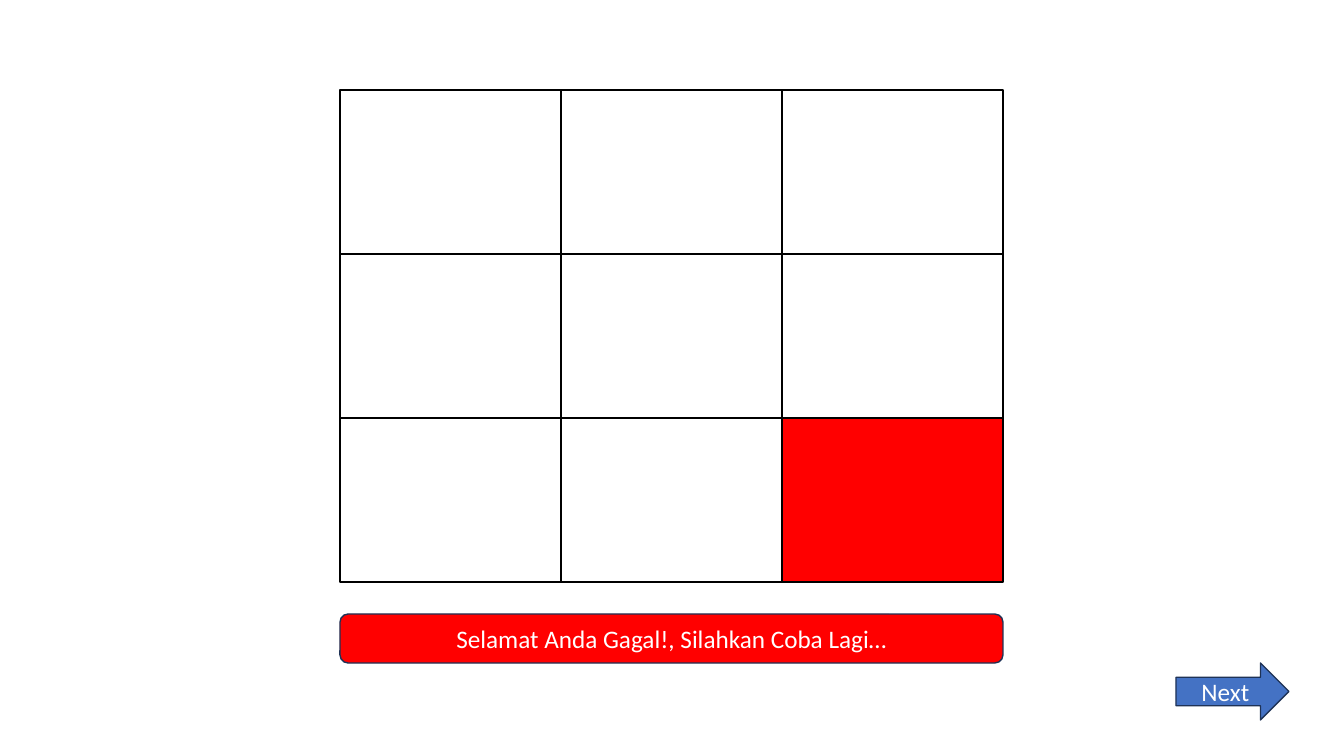
from itertools import product

from pptx import Presentation
from pptx.dml.color import RGBColor
from pptx.enum.shapes import MSO_SHAPE
from pptx.enum.text import MSO_ANCHOR, PP_ALIGN
from pptx.util import Emu, Pt

EMU_PER_PX = 914400 / 100.8
GRID_LEFT, GRID_TOP = 340, 90
CELL_WIDTH, CELL_HEIGHT = 221, 164
GRID_SIZE = 3
FAILED_CELL = (2, 2)
WHITE, BLACK, RED, BLUE, NAVY = "FFFFFF", "000000", "FF0000", "4472C4", "1E3256"


def px(length):
    return Emu(round(length * EMU_PER_PX))


def color(hex_string):
    return RGBColor.from_string(hex_string)


def add_box(page, kind, left, top, width, height, fill, line):
    box = page.shapes.add_shape(kind, px(left), px(top), px(width), px(height))
    box.shadow.inherit = False
    box.fill.solid()
    box.fill.fore_color.rgb = color(fill)
    box.line.color.rgb = color(line)
    box.line.width = Pt(1)
    return box


def add_label(box, text):
    frame = box.text_frame
    frame.word_wrap = True
    frame.vertical_anchor = MSO_ANCHOR.MIDDLE
    para = frame.paragraphs[0]
    para.text = text
    para.alignment = PP_ALIGN.CENTER
    para.font.name = "Calibri"
    para.font.size = Pt(18)
    para.font.color.rgb = color(WHITE)


def add_grid(page):
    for row, column in product(range(GRID_SIZE), repeat=2):
        fill = RED if (row, column) == FAILED_CELL else WHITE
        add_box(page, MSO_SHAPE.RECTANGLE,
                GRID_LEFT + column * CELL_WIDTH, GRID_TOP + row * CELL_HEIGHT,
                CELL_WIDTH, CELL_HEIGHT, fill, BLACK)


def main():
    deck = Presentation()
    deck.slide_width, deck.slide_height = px(1344), px(756)
    page = deck.slides.add_slide(deck.slide_layouts[6])
    add_grid(page)
    next_arrow = add_box(page, MSO_SHAPE.RIGHT_ARROW, 1176, 663, 113, 57, BLUE, NAVY)
    add_label(next_arrow, "Next")
    banner = add_box(page, MSO_SHAPE.ROUNDED_RECTANGLE, GRID_LEFT, 614,
                     GRID_SIZE * CELL_WIDTH, 49, RED, NAVY)
    add_label(banner, "Selamat Anda Gagal!, Silahkan Coba Lagi…")
    deck.save("out.pptx")


if __name__ == "__main__":
    main()
